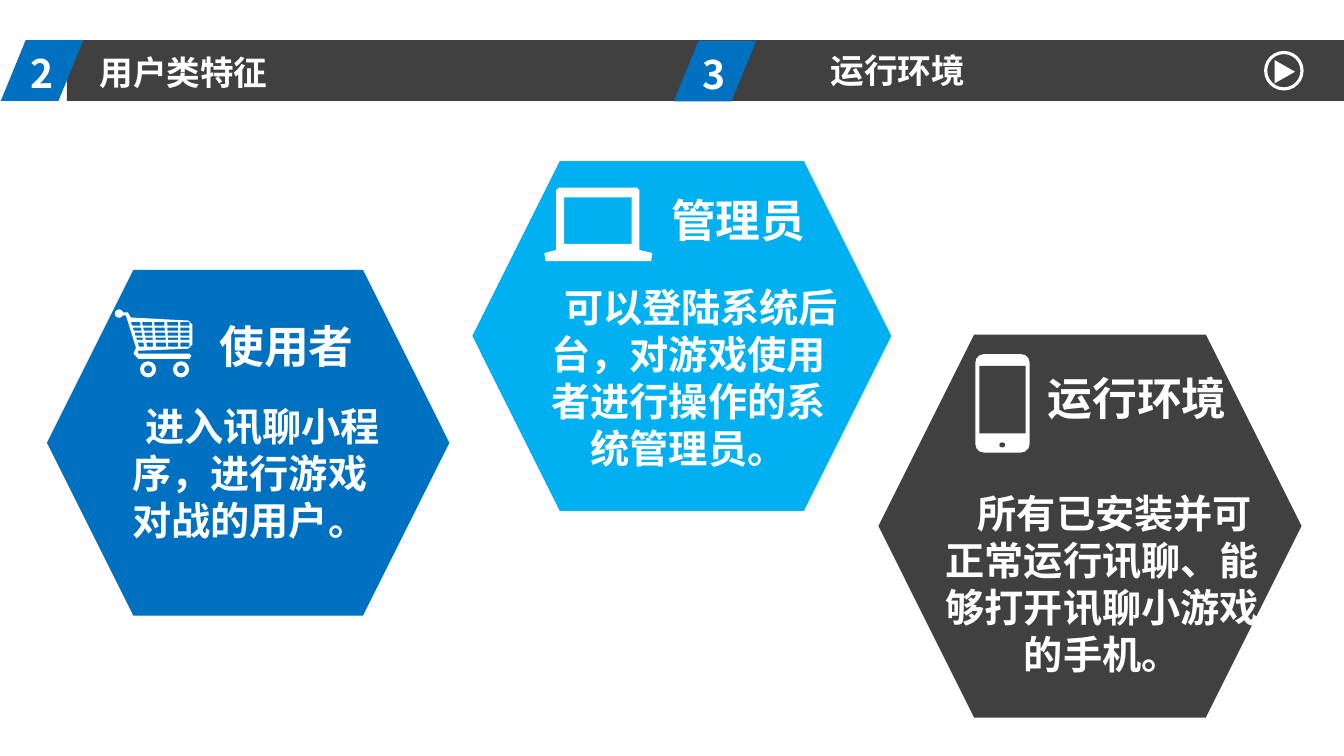
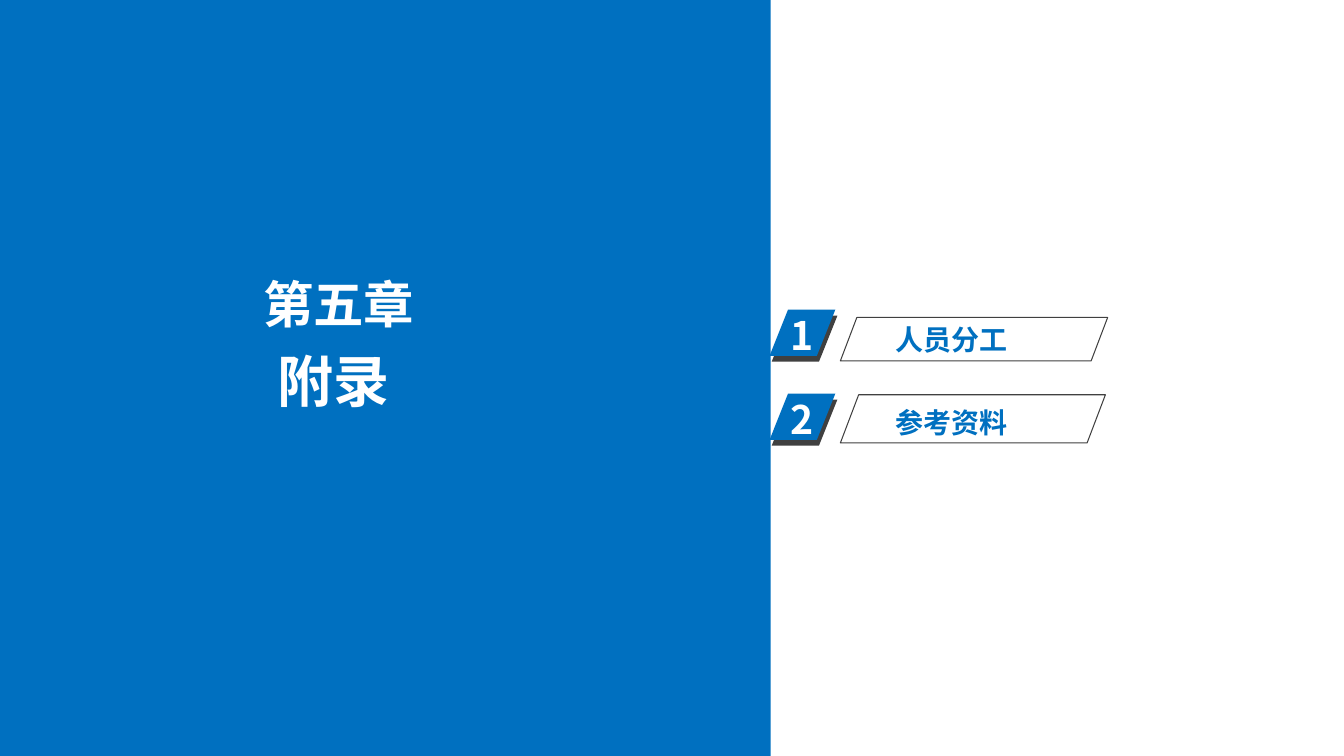
from pptx import Presentation, util as u
from pptx.dml.color import RGBColor
from pptx.enum import shapes, text
from pptx.oxml.ns import qn
from lxml import etree

Pt = u.Pt
MSO = shapes.MSO_SHAPE
BLUE, SKY, DARK, WHITE = "0070C0", "00B0F0", "404040", "FFFFFF"
CJK = "Noto Sans CJK SC"
LINE_HEIGHT = 1.2
INSETS = (7.2, 3.6)


def rgb(value):
    return RGBColor.from_string(value)


class Deck:
    """The presentation, its style and the slide being filled."""

    def __init__(self):
        self.prs = Presentation()
        self.prs.slide_width, self.prs.slide_height = Pt(960.5), Pt(540)
        self.s = None

    def new_slide(self):
        self.s = self.prs.slides.add_slide(self.prs.slide_layouts[5])

    def paint(self, sp, fill=None, line=None, width=1):
        sp.shadow.inherit = False
        if fill:
            sp.fill.solid()
            sp.fill.fore_color.rgb = rgb(fill)
        else:
            sp.fill.background()
        if line:
            sp.line.color.rgb = rgb(line)
            sp.line.width = Pt(width)
        else:
            sp.line.fill.background()
        return sp

    def shape(self, kind, box, fill=None, line=None, width=1, adj=None):
        sp = self.s.shapes.add_shape(kind, *map(Pt, box))
        if adj is not None:
            sp.adjustments[0] = adj
        return self.paint(sp, fill, line, width)

    def outline(self, contours, fill):
        """One filled freeform; contours inside the first one become holes."""
        fb = None
        for contour in contours:
            first, *rest = [(Pt(x), Pt(y)) for x, y in contour]
            if fb is None:
                fb = self.s.shapes.build_freeform(*first, scale=1.0)
            else:
                fb.move_to(*first)
            fb.add_line_segments(rest, close=True)
        return self.paint(fb.convert_to_shape(), fill)

    def set_text(self, sp, words, size, color, font, insets):
        tf = sp.text_frame
        tf.word_wrap = True
        tf.auto_size = text.MSO_AUTO_SIZE.NONE
        tf.vertical_anchor = text.MSO_ANCHOR.TOP
        tf.margin_left = tf.margin_right = Pt(insets[0])
        tf.margin_top = tf.margin_bottom = Pt(insets[1])
        tf.text = words
        p = tf.paragraphs[0]
        p.alignment = text.PP_ALIGN.LEFT
        p.line_spacing = Pt(size * LINE_HEIGHT)
        r = p.runs[0]
        r.font.name, r.font.size, r.font.bold = font, Pt(size), True
        r.font.color.rgb = rgb(color)
        etree.SubElement(r._r.get_or_add_rPr(), qn("a:ea"), typeface=CJK)
        return p

    def label(self, words, box, size, color=WHITE, font=CJK, insets=INSETS):
        sp = self.s.shapes.add_textbox(*map(Pt, box))
        return self.set_text(sp, words, size, color, font, insets)

    def title(self, words, box, size):
        """Fill the title placeholder and bring it in front of the bands."""
        sp = self.s.shapes.title
        sp.left, sp.top, sp.width, sp.height = map(Pt, box)
        self.set_text(sp, words, size, WHITE, CJK, INSETS)
        sp.element.getparent().append(sp.element)

    def body(self, words, box):
        p = self.label(words, box, 28, font="Arial", insets=(0, 0))
        p.alignment = text.PP_ALIGN.CENTER
        p.space_before = Pt(7)
        p._p.get_or_add_pPr().set("indent", str(Pt(18)))

    def number(self, digit, x, y):
        self.label(digit, (x, y, 50, 41), 28)

    def hexagon(self, fill, box, heading, heading_box, words, words_box):
        self.shape(MSO.HEXAGON, box, fill)
        self.label(heading, heading_box, 32, font="Calibri")
        self.body(words, words_box)

    def play_button(self):
        self.shape(MSO.OVAL, (904.5, 37.5, 26, 26), line=WHITE, width=2.25)
        self.shape(MSO.ISOSCELES_TRIANGLE, (910, 44, 16.5, 14.5),
                   WHITE).rotation = 90

    def cart(self):
        frame = [(87.8, 223.2), (91.4, 223.2), (93.6, 226.8), (134.6, 229),
                 (137.5, 231.8), (137.5, 246.2), (134.6, 249.1),
                 (98.6, 250.6), (98.6, 252.7), (135.4, 252.7),
                 (136.8, 254.2), (135.4, 256.3), (99, 256.3),
                 (95.4, 252.7), (97.2, 248.4), (90, 225.4), (87.8, 225.4)]
        rows = [(229.9, 232.6), (234, 236.2), (237.6, 239.8),
                (241.2, 242.8), (244.8, 247.7)]
        # Each column: left and right edge at the top, then at the bottom.
        columns = [(93.6, 100.1, 99.4, 103), (101.5, 108.7, 105.1, 109.4),
                   (110.2, 117.4, 111.6, 118.8), (119.5, 127.4, 120.2, 127.4),
                   (128.9, 135.4, 128.9, 135.4)]
        first, last = rows[0][0], rows[-1][1]

        def edge(top_x, bottom_x, y):
            return top_x + (bottom_x - top_x) * (y - first) / (last - first)

        cells = [[(edge(l0, l1, y0), y0), (edge(r0, r1, y0), y0),
                  (edge(r0, r1, y1), y1), (edge(l0, l1, y1), y1)]
                 for y0, y1 in rows for l0, r0, l1, r1 in columns]
        self.outline([frame] + cells, WHITE)
        self.shape(MSO.OVAL, (82.1, 221, 6, 6), WHITE)
        for x in (100, 123.6):
            self.shape(MSO.DONUT, (x, 258, 11.6, 11.6), WHITE, adj=0.25)

    def laptop(self):
        case = [(397.5, 136), (399.5, 134), (455, 134), (457, 136),
                (457, 178.6), (466.2, 180.8), (465.4, 186.5),
                (390, 186.5), (389, 180.8), (397.5, 178.6)]
        screen = [(403.2, 141), (451.4, 141), (451.4, 174.2), (403.2, 174.2)]
        self.outline([case, screen], WHITE)

    def phone(self):
        self.shape(MSO.ROUNDED_RECTANGLE, (697, 252.9, 38.8, 70.4), WHITE,
                   adj=0.16)
        self.shape(MSO.RECTANGLE, (700, 261.4, 33, 48.2), DARK)
        self.shape(MSO.OVAL, (714.2, 316, 4.2, 3.6), DARK)

    def agenda_item(self, digit, words, y, frame_box, words_y):
        for x, top, fill in ((551.5, y + 4.2, DARK), (550, y, BLUE)):
            self.shape(MSO.PARALLELOGRAM, (x, top, 47, 33), fill, adj=0.4)
        self.number(digit, 558, y - 2.4)
        self.shape(MSO.PARALLELOGRAM, frame_box, line=DARK, width=0.75,
                   adj=0.38)
        self.label(words, (633, words_y, 218, 32), 20, BLUE)


def users_slide(d):
    d.new_slide()
    d.shape(MSO.RECTANGLE, (47.8, 28.6, 912.7, 43.4), DARK)
    for digit, x, y in (("2", 0.6, 28.6), ("3", 481.5, 29)):
        d.shape(MSO.PARALLELOGRAM, (x, y, 59, 43.4), BLUE, adj=0.41)
        d.number(digit, x + 13.8, y + 3.2)
    d.title("用户类特征", (64, 33.2, 197, 36), 24)
    d.label("运行环境", (586.6, 32, 197, 36), 24)
    d.play_button()
    d.hexagon(BLUE, (33.6, 192.8, 287.6, 247),
              "使用者", (149.6, 224, 144, 46),
              "进入讯聊小程序，进行游戏对战的用户。", (82, 287.2, 193, 101))
    d.cart()
    d.hexagon(SKY, (337.6, 115, 299.4, 250),
              "管理员", (472.6, 134, 127, 46),
              "可以登陆系统后台，对游戏使用者进行操作的系统管理员。",
              (384.5, 202.4, 215, 135))
    d.laptop()
    d.hexagon(DARK, (627.8, 239, 302.4, 273.6),
              "运行环境", (741.6, 261.4, 162, 46),
              "所有已安装并可正常运行讯聊、能够打开讯聊小游戏的手机。",
              (671, 349.4, 233.4, 135))
    d.phone()


def chapter_slide(d):
    d.new_slide()
    d.shape(MSO.RECTANGLE, (0, 0, 550.8, 540), BLUE)
    d.title("第五章", (180.8, 191.6, 130, 50), 36)
    d.label("附录", (191.6, 244, 130, 55), 40)
    d.agenda_item("1", "人员分工", 221.2, (600.6, 226.8, 191, 31), 227)
    d.agenda_item("2", "参考资料", 281.2, (600.6, 282, 189.4, 34.4), 286)


def main():
    d = Deck()
    users_slide(d)
    chapter_slide(d)
    d.prs.save("out.pptx")


if __name__ == "__main__":
    main()
